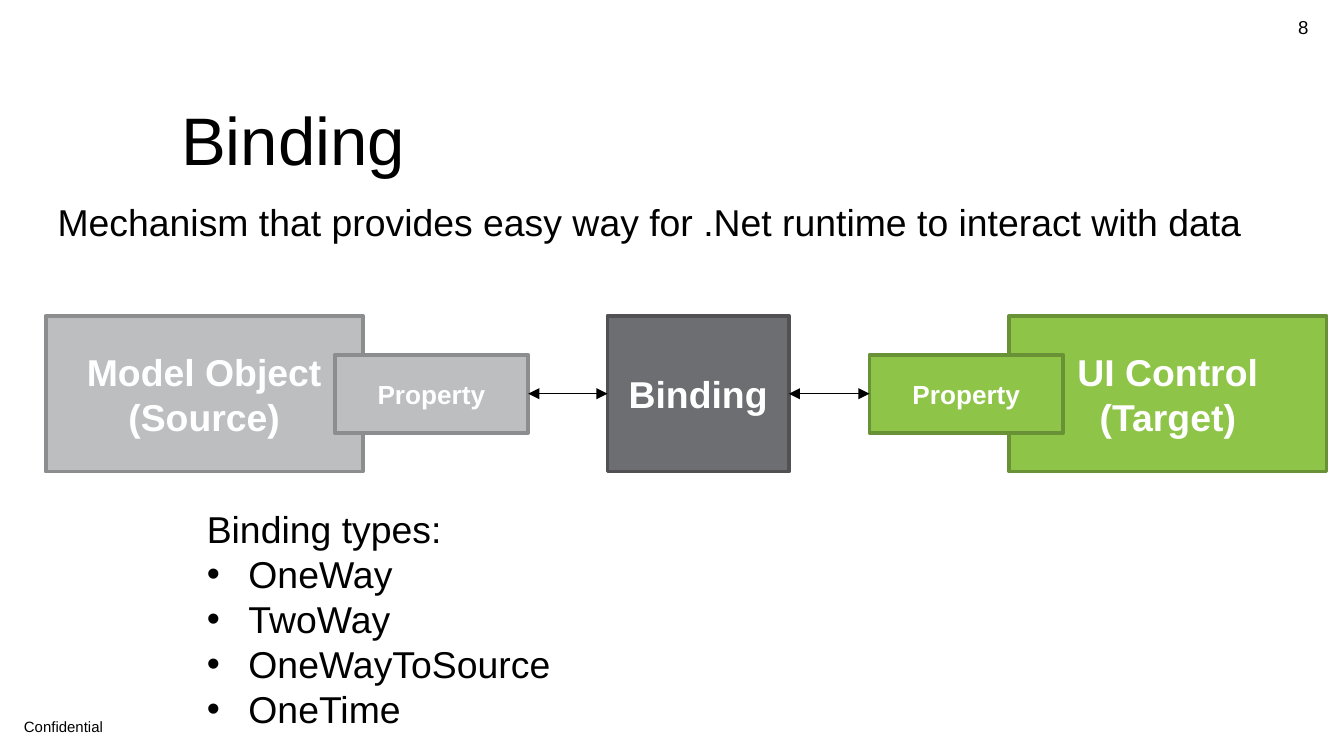
from lxml import etree
from pptx import Presentation
from pptx.dml.color import RGBColor
from pptx.enum.shapes import MSO_CONNECTOR, MSO_SHAPE
from pptx.enum.text import MSO_ANCHOR, PP_ALIGN
from pptx.oxml.ns import qn
from pptx.util import Inches, Pt

RECTANGLE = MSO_SHAPE.RECTANGLE
ELBOW = MSO_CONNECTOR.ELBOW
TOP, MIDDLE = MSO_ANCHOR.TOP, MSO_ANCHOR.MIDDLE
LEFT, CENTER = PP_ALIGN.LEFT, PP_ALIGN.CENTER

BLACK = RGBColor(0x00, 0x00, 0x00)
WHITE = RGBColor(0xFF, 0xFF, 0xFF)
# Fill and outline pairs
LIGHT_GRAY = (RGBColor(0xBC, 0xBE, 0xC0), RGBColor(0x8B, 0x8D, 0x8E))
DARK_GRAY = (RGBColor(0x6D, 0x6E, 0x71), RGBColor(0x51, 0x51, 0x54))
GREEN = (RGBColor(0x8E, 0xC5, 0x49), RGBColor(0x69, 0x92, 0x36))

FONT = "Arial"
SLIDE_WIDTH = 10
BULLET_INDENT = Inches(0.31)

# Content: lines, (left, top, width, height), size, anchor, wrap
TEXTS = [
    (["8"], (9.56, 0.05, 0.49, 0.3), 10, MIDDLE, True),
    (["Confidential"], (0.08, 5.29, 2.33, 0.27), 8, TOP, True),
    (["Binding"], (1.25, 0.68, 10.83, 0.77), 36, TOP, True),
    (["Mechanism that provides easy way for .Net runtime to interact with data"],
     (0.33, 1.43, 9.07, 0.44), 20, TOP, False),
]
BINDING_TYPES = ["OneWay", "TwoWay", "OneWayToSource", "OneTime"]

# Diagram: lines, left, width, height, size, colours
BOXES = [
    (["Model Object", "(Source)"], 0.34, 2.36, 1.16, 20, LIGHT_GRAY),
    (["UI Control", "(Target)"], 7.51, 2.36, 1.16, 20, GREEN),
    (["Binding"], 4.52, 1.35, 1.16, 20, DARK_GRAY),
    (["Property"], 2.49, 1.44, 0.58, 14, LIGHT_GRAY),
    (["Property"], 6.47, 1.44, 0.58, 14, GREEN),
]
DIAGRAM_MIDDLE = 2.93
ARROWS = [(3.93, 4.52), (5.87, 6.47)]


def write_lines(text_frame, lines, size, color, anchor, align, bold=False):
    text_frame.text = "\n".join(lines)
    text_frame.vertical_anchor = anchor
    for paragraph in text_frame.paragraphs:
        paragraph.alignment = align
        for run in paragraph.runs:
            run.font.name = FONT
            run.font.size = Pt(size)
            run.font.bold = bold
            run.font.color.rgb = color


def add_text(slide, lines, position, size, anchor, wrap):
    text_frame = slide.shapes.add_textbox(*map(Inches, position)).text_frame
    text_frame.word_wrap = wrap
    write_lines(text_frame, lines, size, BLACK, anchor, LEFT)
    return text_frame


def add_box(slide, lines, left, width, height, size, colors):
    top = DIAGRAM_MIDDLE - height / 2
    shape = slide.shapes.add_shape(
        RECTANGLE, *map(Inches, (left, top, width, height)))
    shape.shadow.inherit = False
    shape.fill.solid()
    shape.fill.fore_color.rgb, shape.line.color.rgb = colors
    shape.line.width = Pt(2)
    write_lines(shape.text_frame, lines, size, WHITE, MIDDLE, CENTER, bold=True)


def add_double_arrow(slide, start, end):
    y = Inches(DIAGRAM_MIDDLE)
    connector = slide.shapes.add_connector(ELBOW, Inches(start), y, Inches(end), y)
    connector.line.color.rgb = BLACK
    connector.line.width = Pt(0.75)
    properties = connector._element.spPr
    line = properties.find(qn("a:ln"))
    for tag in ("a:headEnd", "a:tailEnd"):
        etree.SubElement(line, qn(tag), type="triangle")
    etree.SubElement(properties, qn("a:effectLst"))


def add_bullet(paragraph):
    properties = paragraph._p.get_or_add_pPr()
    properties.set("marL", str(BULLET_INDENT))
    properties.set("indent", str(-BULLET_INDENT))
    etree.SubElement(properties, qn("a:buFont"), typeface=FONT)
    etree.SubElement(properties, qn("a:buChar"), char="•")


# Slide in 16:9
presentation = Presentation()
presentation.slide_width = Inches(SLIDE_WIDTH)
presentation.slide_height = Inches(SLIDE_WIDTH * 9 / 16)
slide = presentation.slides.add_slide(presentation.slide_layouts[6])

# Page number, footer, title and statement
for text in TEXTS:
    add_text(slide, *text)

# Diagram
for box in BOXES:
    add_box(slide, *box)
for start, end in ARROWS:
    add_double_arrow(slide, start, end)

# Binding types
types_frame = add_text(slide, ["Binding types:"] + BINDING_TYPES,
                       (1.44, 3.72, 2.82, 1.78), 20, TOP, False)
for paragraph in types_frame.paragraphs[1:]:
    add_bullet(paragraph)

presentation.save("out.pptx")
